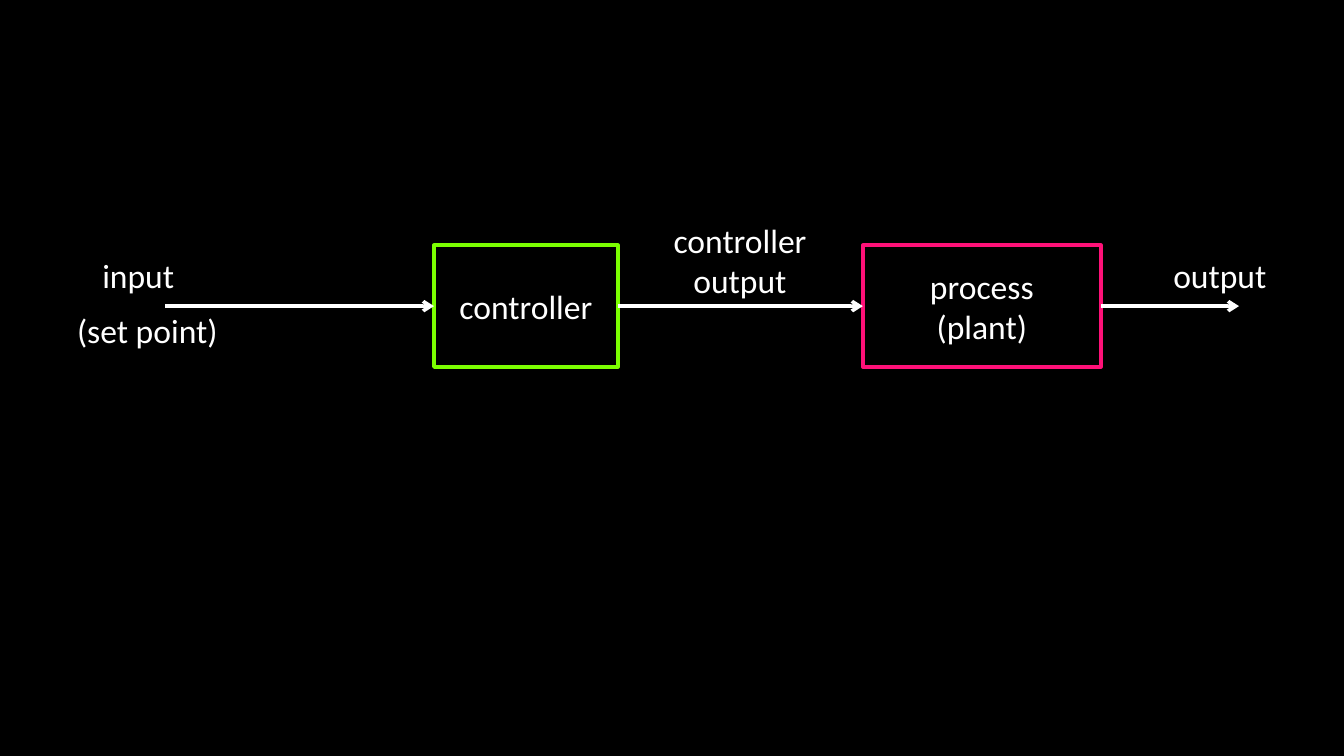
"""Build a slide with an open-loop control block diagram."""
from dataclasses import dataclass

from lxml.etree import SubElement
from pptx import Presentation
from pptx.dml.color import RGBColor
from pptx.enum.shapes import MSO_CONNECTOR, MSO_SHAPE
from pptx.enum.text import MSO_ANCHOR, MSO_AUTO_SIZE, PP_ALIGN
from pptx.oxml.ns import qn
from pptx.slide import Slide
from pptx.text.text import TextFrame
from pptx.util import Pt


@dataclass(frozen=True)
class Theme:
    background: RGBColor = RGBColor(0x00, 0x00, 0x00)
    text: RGBColor = RGBColor(0xFF, 0xFF, 0xFF)
    controller: RGBColor = RGBColor(0x7C, 0xFF, 0x01)
    process: RGBColor = RGBColor(0xFF, 0x11, 0x78)
    font: str = "Calibri"
    size: float = 28.8
    line: float = 3


@dataclass(frozen=True)
class Block:
    lines: tuple[str, ...]
    left: float
    width: float
    color: RGBColor

    @property
    def right(self) -> float:
        return self.left + self.width


@dataclass(frozen=True)
class Label:
    lines: tuple[str, ...]
    left: float
    top: float
    width: float
    height: float = 42.5
    align: PP_ALIGN = PP_ALIGN.LEFT


THEME = Theme()
AXIS_Y = 262.4
BLOCK_HEIGHT = 104.4
CONTROLLER = Block(("controller",), 372, 157.6, THEME.controller)
PROCESS = Block(("process", "(plant)"), 739.6, 204, THEME.process)
LABELS = (
    Label(("input",), 80.6, 214.8, 77),
    Label(("(set point)",), 59, 262, 136),
    Label(("output",), 998.6, 215, 95),
    Label(("controller", "output"), 569.5, 185, 129.6, 77, PP_ALIGN.CENTER),
)
ARROWS = (
    (141.8, CONTROLLER.left),
    (CONTROLLER.right, PROCESS.left),
    (PROCESS.right, 1062),
)


def write(tf: TextFrame, lines: tuple[str, ...], align: PP_ALIGN) -> None:
    """Write one paragraph per line in the theme font."""
    style = {"name": THEME.font, "size": Pt(THEME.size)}
    for i, line in enumerate(lines):
        p = tf.paragraphs[0] if i == 0 else tf.add_paragraph()
        p.alignment = align
        r = p.add_run()
        r.text = line
        for name, value in style.items():
            setattr(r.font, name, value)
        r.font.color.rgb = THEME.text


def draw_block(s: Slide, block: Block) -> None:
    """Draw an outlined block centred on the signal axis."""
    sp = s.shapes.add_shape(
        MSO_SHAPE.RECTANGLE, Pt(block.left), Pt(AXIS_Y - BLOCK_HEIGHT / 2),
        Pt(block.width), Pt(BLOCK_HEIGHT))
    sp.shadow.inherit = False
    sp.fill.background()
    sp.line.color.rgb = block.color
    sp.line.width = Pt(THEME.line)
    sp.text_frame.vertical_anchor = MSO_ANCHOR.MIDDLE
    write(sp.text_frame, block.lines, PP_ALIGN.CENTER)


def draw_label(s: Slide, label: Label) -> None:
    """Draw an unwrapped signal label."""
    sp = s.shapes.add_textbox(
        Pt(label.left), Pt(label.top), Pt(label.width), Pt(label.height))
    tf = sp.text_frame
    for name, value in {"word_wrap": False,
                        "auto_size": MSO_AUTO_SIZE.SHAPE_TO_FIT_TEXT}.items():
        setattr(tf, name, value)
    write(tf, label.lines, label.align)


def draw_arrow(s: Slide, start: float, end: float) -> None:
    """Draw a signal arrow along the axis."""
    sp = s.shapes.add_connector(
        MSO_CONNECTOR.STRAIGHT, Pt(start), Pt(AXIS_Y), Pt(end), Pt(AXIS_Y))
    sp.line.color.rgb = THEME.text
    sp.line.width = Pt(THEME.line)
    SubElement(sp.line._get_or_add_ln(), qn("a:tailEnd"), type="arrow")
    SubElement(sp._element.spPr, qn("a:effectLst"))


def main() -> None:
    """Build and save the presentation."""
    prs = Presentation()
    prs.slide_width, prs.slide_height = Pt(1152), Pt(648)
    s = prs.slides.add_slide(prs.slide_layouts[6])
    s.background.fill.solid()
    s.background.fill.fore_color.rgb = THEME.background
    for block in (CONTROLLER, PROCESS):
        draw_block(s, block)
    for label in LABELS:
        draw_label(s, label)
    for start, end in ARROWS:
        draw_arrow(s, start, end)
    prs.save("out.pptx")


if __name__ == "__main__":
    main()
